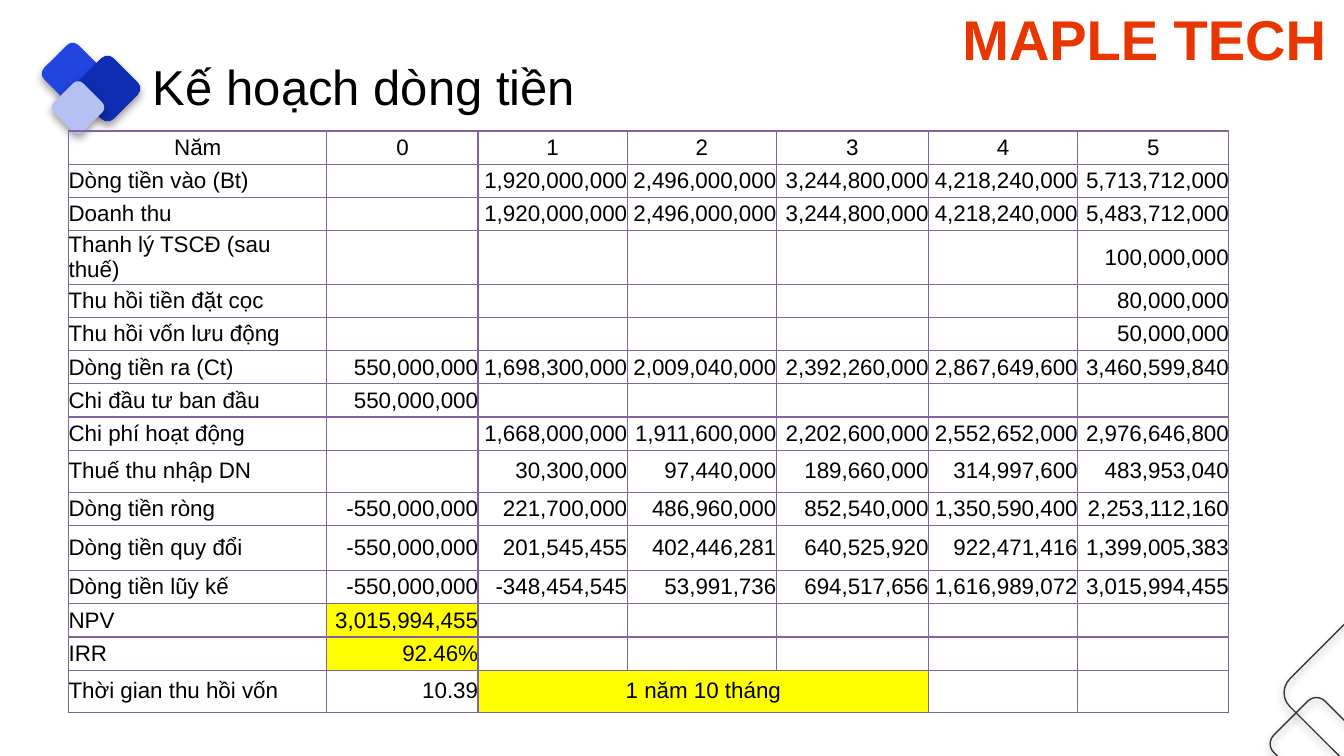
from lxml.etree import SubElement
from pptx import Presentation
from pptx.dml.color import RGBColor
from pptx.enum.shapes import MSO_SHAPE
from pptx.enum.text import MSO_ANCHOR, PP_ALIGN
from pptx.oxml.ns import qn
from pptx.util import Pt

COLORS = {
    "blue": "2345DF",
    "navy": "0E2DB2",
    "pale": "B5C1F2",
    "outline": "393737",
    "brand": "E93601",
    "text": "000000",
    "shadow": "000000",
    "border": "8064A2",
    "highlight": "FFFF00",
}
FONT = "Arial"

COLUMN_WIDTHS = [184.5, 108, 106.5, 106.5, 108.8, 106.5, 108]
ROW_HEIGHT = 23.7
TALL_ROWS = {3: 38, 9: 30, 11: 32.3, 15: 30.2}
HIGHLIGHTS = {(13, 1), (14, 1), (15, 2)}
PAYBACK_ROW = 15

CASH_FLOW = [
    ["Năm", "0", "1", "2", "3", "4", "5"],
    ["Dòng tiền vào (Bt)", "", "1,920,000,000", "2,496,000,000",
     "3,244,800,000", "4,218,240,000", "5,713,712,000"],
    ["Doanh thu", "", "1,920,000,000", "2,496,000,000",
     "3,244,800,000", "4,218,240,000", "5,483,712,000"],
    ["Thanh lý TSCĐ (sau thuế)", "", "", "", "", "", "100,000,000"],
    ["Thu hồi tiền đặt cọc", "", "", "", "", "", "80,000,000"],
    ["Thu hồi vốn lưu động", "", "", "", "", "", "50,000,000"],
    ["Dòng tiền ra (Ct)", "550,000,000", "1,698,300,000", "2,009,040,000",
     "2,392,260,000", "2,867,649,600", "3,460,599,840"],
    ["Chi đầu tư ban đầu", "550,000,000", "", "", "", "", ""],
    ["Chi phí hoạt động", "", "1,668,000,000", "1,911,600,000",
     "2,202,600,000", "2,552,652,000", "2,976,646,800"],
    ["Thuế thu nhập DN", "", "30,300,000", "97,440,000",
     "189,660,000", "314,997,600", "483,953,040"],
    ["Dòng tiền ròng", "-550,000,000", "221,700,000", "486,960,000",
     "852,540,000", "1,350,590,400", "2,253,112,160"],
    ["Dòng tiền quy đổi", "-550,000,000", "201,545,455", "402,446,281",
     "640,525,920", "922,471,416", "1,399,005,383"],
    ["Dòng tiền lũy kế", "-550,000,000", "-348,454,545", "53,991,736",
     "694,517,656", "1,616,989,072", "3,015,994,455"],
    ["NPV", "3,015,994,455", "", "", "", "", ""],
    ["IRR", "92.46%", "", "", "", "", ""],
    ["Thời gian thu hồi vốn", "10.39", "1 năm 10 tháng", "", "", "", ""],
]


def color(name):
    return RGBColor.from_string(COLORS[name])


def style_text(paragraph, size, color_name, bold=False):
    font = paragraph.font
    font.name = FONT
    font.size = Pt(size)
    font.bold = bold
    font.color.rgb = color(color_name)


def add_shadow(shape):
    shape.shadow.inherit = False
    effects = shape._element.spPr.find(qn("a:effectLst"))
    shadow = SubElement(effects, qn("a:outerShdw"), blurRad=str(Pt(6)),
                        dist=str(Pt(3)), dir="5400000", algn="t", rotWithShape="0")
    tint = SubElement(shadow, qn("a:srgbClr"), val=COLORS["shadow"])
    SubElement(tint, qn("a:alpha"), val="39000")


def add_diamond(page, left, top, side, fill=None):
    diamond = page.shapes.add_shape(
        MSO_SHAPE.ROUNDED_RECTANGLE, Pt(left), Pt(top), Pt(side), Pt(side))
    diamond.rotation = 45
    if fill:
        diamond.fill.solid()
        diamond.fill.fore_color.rgb = color(fill)
        diamond.line.fill.background()
    else:
        diamond.fill.background()
        diamond.line.color.rgb = color("outline")
        diamond.line.width = Pt(1)
    add_shadow(diamond)


def add_label(page, text, left, top, width, height, size, color_name, bold=False):
    box = page.shapes.add_textbox(Pt(left), Pt(top), Pt(width), Pt(height))
    box.text_frame.word_wrap = True
    para = box.text_frame.paragraphs[0]
    para.text = text
    style_text(para, size, color_name, bold)


def add_borders(cell):
    properties = cell._tc.get_or_add_tcPr()
    for side in ("lnL", "lnR", "lnT", "lnB"):
        line = SubElement(properties, qn(f"a:{side}"), w=str(Pt(1)))
        fill = SubElement(line, qn("a:solidFill"))
        SubElement(fill, qn("a:srgbClr"), val=COLORS["border"])


def fill_cell(cell, text, alignment, highlighted):
    add_borders(cell)
    cell.margin_left = cell.margin_right = cell.margin_top = cell.margin_bottom = 0
    cell.vertical_anchor = MSO_ANCHOR.MIDDLE
    if highlighted:
        cell.fill.solid()
        cell.fill.fore_color.rgb = color("highlight")
    else:
        cell.fill.background()
    para = cell.text_frame.paragraphs[0]
    para.text = text
    para.alignment = alignment
    style_text(para, 16, "text")


def cell_alignment(row, column):
    if row == 0 or (row, column) == (PAYBACK_ROW, 2):
        return PP_ALIGN.CENTER
    return PP_ALIGN.LEFT if column == 0 else PP_ALIGN.RIGHT


def add_cash_flow_table(page, left, top):
    heights = [TALL_ROWS.get(row, ROW_HEIGHT) for row in range(len(CASH_FLOW))]
    table = page.shapes.add_table(
        len(heights), len(COLUMN_WIDTHS), Pt(left), Pt(top),
        Pt(sum(COLUMN_WIDTHS)), Pt(sum(heights))).table
    table.first_row = False
    table.horz_banding = False
    for column, width in zip(table.columns, COLUMN_WIDTHS):
        column.width = Pt(width)
    for row, height in zip(table.rows, heights):
        row.height = Pt(height)
    for row, values in enumerate(CASH_FLOW):
        for column, value in enumerate(values):
            fill_cell(table.cell(row, column), value, cell_alignment(row, column),
                      (row, column) in HIGHLIGHTS)
    table.cell(PAYBACK_ROW, 2).merge(table.cell(PAYBACK_ROW, 4))


def main():
    deck = Presentation()
    deck.slide_width, deck.slide_height = Pt(960), Pt(540)
    page = deck.slides.add_slide(deck.slide_layouts[6])
    add_diamond(page, 34.6, 35.3, 34.6, "blue")
    add_diamond(page, 58.3, 44.8, 36.9, "navy")
    add_diamond(page, 41, 62, 29.5, "pale")
    add_diamond(page, 914.4, 505.4, 51.8)
    add_diamond(page, 928.8, 452.9, 83.9)
    add_label(page, "MAPLE TECH", 680.4, 0, 280, 55.4, 40, "brand", bold=True)
    add_label(page, "Kế hoạch dòng tiền", 102.2, 36.7, 692.6, 49.7, 35, "text")
    add_cash_flow_table(page, 49, 93.6)
    deck.save("out.pptx")


main()
